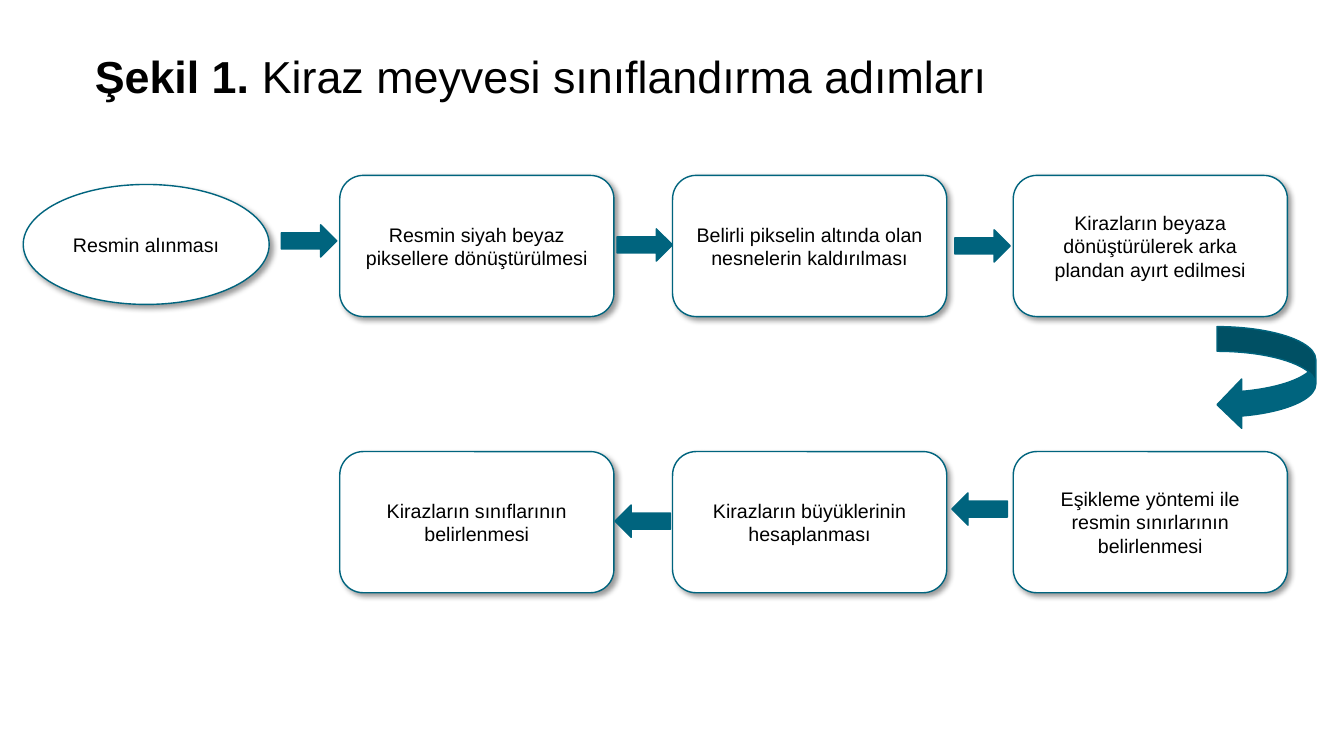
from dataclasses import dataclass

from lxml.etree import SubElement
from pptx import Presentation
from pptx.dml.color import RGBColor as Color
from pptx.enum.shapes import MSO_SHAPE as Preset
from pptx.enum.text import MSO_ANCHOR as Anchor, PP_ALIGN as Align
from pptx.oxml.ns import qn
from pptx.util import Inches, Pt


@dataclass(frozen=True)
class Theme:
    font: str = "Arial"
    ink: Color = Color(0, 0, 0)
    paper: Color = Color(255, 255, 255)
    accent: Color = Color(0x00, 0x64, 0x7E)
    title_size: int = 32
    body_size: int = 14
    line_width: int = 1


def apply_format(target, values):
    for name, value in values.items():
        setattr(target, name, value)


class FlowSlide:
    """Places elements on a grid of 100 columns by 100 rows."""

    def __init__(self, presentation, theme):
        self.theme = theme
        self.column = presentation.slide_width / 100
        self.row = presentation.slide_height / 100
        self.slide = presentation.slides.add_slide(presentation.slide_layouts[5])

    def area(self, left, top, width, height):
        return (round(left * self.column), round(top * self.row),
                round(width * self.column), round(height * self.row))

    def add_text(self, paragraph, text, size, bold=False):
        run = paragraph.add_run()
        run.text = text
        apply_format(run.font, {"name": self.theme.font, "size": Pt(size), "bold": bold})
        run.font.color.rgb = self.theme.ink

    def title(self, label, text, area):
        shape = self.slide.shapes.title
        apply_format(shape, dict(zip(("left", "top", "width", "height"), self.area(*area))))
        apply_format(shape.text_frame, {"word_wrap": True, "vertical_anchor": Anchor.MIDDLE})
        paragraph = shape.text_frame.paragraphs[0]
        paragraph.alignment = Align.LEFT
        self.add_text(paragraph, label, self.theme.title_size, bold=True)
        self.add_text(paragraph, text, self.theme.title_size)

    def shape(self, preset, area, fill):
        shape = self.slide.shapes.add_shape(preset, *self.area(*area))
        shape.fill.solid()
        shape.fill.fore_color.rgb = fill
        shape.line.color.rgb = self.theme.accent
        shape.line.width = Pt(self.theme.line_width)
        shape.shadow.inherit = False
        return shape

    def step(self, preset, area, text):
        shape = self.shape(preset, area, self.theme.paper)
        self.cast_shadow(shape)
        apply_format(shape.text_frame, {"word_wrap": True, "vertical_anchor": Anchor.MIDDLE})
        paragraph = shape.text_frame.paragraphs[0]
        paragraph.alignment = Align.CENTER
        self.add_text(paragraph, text, self.theme.body_size)

    def cast_shadow(self, shape):
        effects = shape._element.spPr.find(qn("a:effectLst"))
        shadow = SubElement(effects, qn("a:outerShdw"), {
            "blurRad": str(Pt(4)), "dist": str(Pt(3)), "dir": str(45 * 60000),
            "algn": "tl", "rotWithShape": "0"})
        color = SubElement(shadow, qn("a:srgbClr"), val=str(self.theme.ink))
        SubElement(color, qn("a:alpha"), val="40000")

    def arrow(self, preset, area, rotation=0):
        self.shape(preset, area, self.theme.accent).rotation = rotation


presentation = Presentation()
apply_format(presentation, {"slide_width": Inches(13.33), "slide_height": Inches(7.5)})
flow = FlowSlide(presentation, Theme())

# Title
flow.title("Şekil 1.", " Kiraz meyvesi sınıflandırma adımları", (6.3, 5.73, 81, 8.53))

# Starting point
flow.step(Preset.OVAL, (1.73, 24.4, 18.3, 15.87), "Resmin alınması")

# Processing steps, in two rows
step_columns = (25.28, 50.04, 75.39)
step_rows = {
    23.2: ("Resmin siyah beyaz piksellere dönüştürülmesi",
           "Belirli pikselin altında olan nesnelerin kaldırılması",
           "Kirazların beyaza dönüştürülerek arka plandan ayırt edilmesi"),
    59.73: ("Kirazların sınıflarının belirlenmesi",
            "Kirazların büyüklerinin hesaplanması",
            "Eşikleme yöntemi ile resmin sınırlarının belirlenmesi"),
}
for top, texts in step_rows.items():
    for left, text in zip(step_columns, texts):
        flow.step(Preset.ROUNDED_RECTANGLE, (left, top, 20.4, 18.67), text)

# Arrows: rightwards in the upper row, leftwards in the lower row
arrow_places = {
    0: ((20.93, 29.73), (45.91, 30.27), (71.04, 30.4)),
    180: ((70.82, 65.2), (45.76, 66.8)),
}
for rotation, places in arrow_places.items():
    for left, top in places:
        flow.arrow(Preset.RIGHT_ARROW, (left, top, 4.13, 4.27), rotation)

# Turn from the upper row to the lower row
flow.arrow(Preset.CURVED_LEFT_ARROW, (90.55, 43.2, 7.35, 13.6))

presentation.save("out.pptx")
